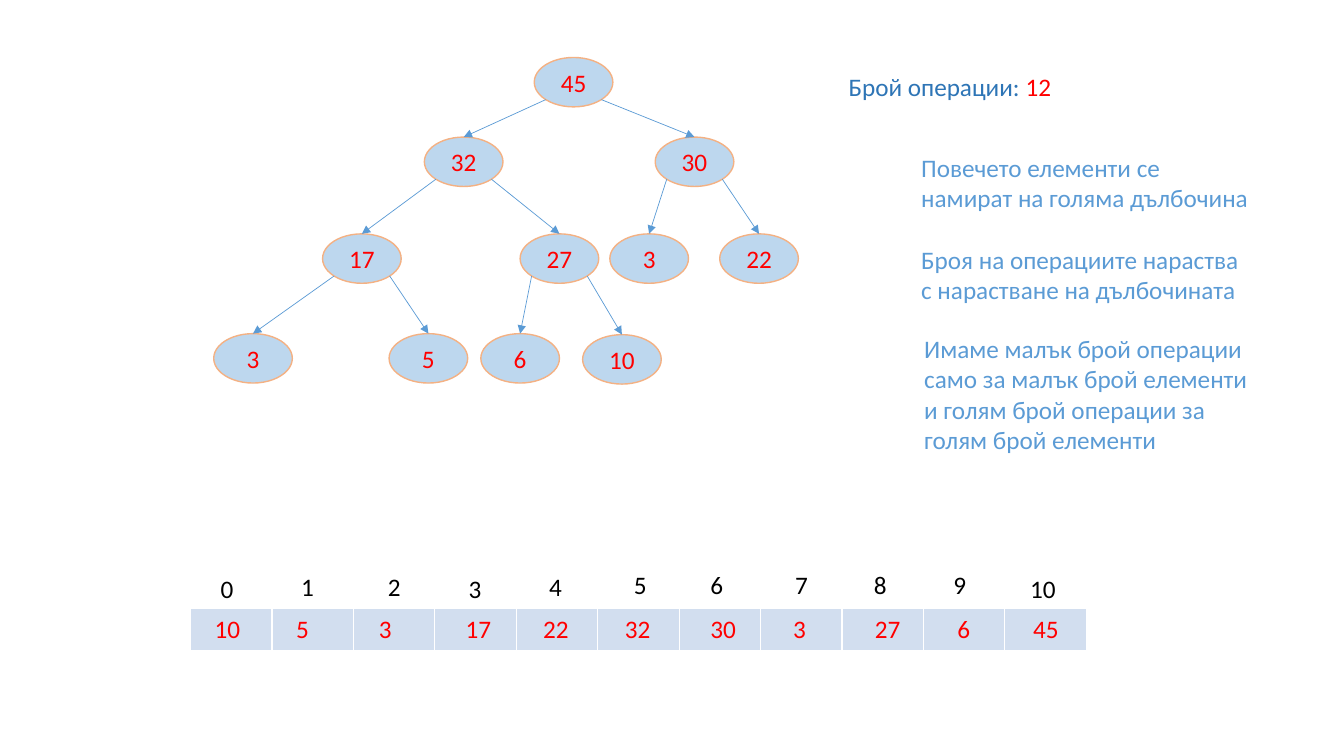
from lxml.etree import SubElement
from math import sqrt
from pptx import Presentation
from pptx.dml.color import RGBColor
from pptx.enum.shapes import MSO_CONNECTOR as Line, MSO_SHAPE as Preset
from pptx.enum.text import MSO_ANCHOR as Anchor, MSO_AUTO_SIZE as AutoSize, PP_ALIGN as Align
from pptx.oxml.ns import qn
from pptx.util import Inches, Pt

BLACK, RED = "000000", "FF0000"
BLUE, DARK_BLUE = "5B9BD5", "2E75B6"
NODE_FILL, NODE_LINE, CELL_FILL = "BDD7EE", "F4B183", "D2DEEF"


def color(hex_code):
    return RGBColor.from_string(hex_code)


def grid(*cells):
    """Turn columns or rows of the grid, ten to the inch, into lengths."""
    return [Inches(cell / 10) for cell in cells]


class HeapSlide:
    font_name, font_size = "Calibri", Pt(18)
    node_width, node_height = 7.8, 4.9

    def __init__(self, presentation):
        self.shapes = presentation.slides.add_slide(presentation.slide_layouts[6]).shapes

    def style(self, paragraph, hex_code):
        font = paragraph.font
        font.name, font.size = self.font_name, self.font_size
        font.color.rgb = color(hex_code)

    def text(self, column, row, width, height, *parts):
        """Add one paragraph of (wording, colour) parts."""
        box = self.shapes.add_textbox(*grid(column, row, width, height))
        frame = box.text_frame
        frame.word_wrap = True
        frame.auto_size = AutoSize.SHAPE_TO_FIT_TEXT
        paragraph = frame.paragraphs[0]
        self.style(paragraph, parts[0][1])
        for wording, hex_code in parts:
            run = paragraph.add_run()
            run.text = wording
            run.font.color.rgb = color(hex_code)

    def node(self, key, column, row):
        node = self.shapes.add_shape(
            Preset.OVAL, *grid(column, row, self.node_width, self.node_height))
        node.shadow.inherit = False
        node.fill.solid()
        node.fill.fore_color.rgb = color(NODE_FILL)
        node.line.color.rgb = color(NODE_LINE)
        node.line.width = Pt(1)
        frame = node.text_frame
        frame.vertical_anchor = Anchor.MIDDLE
        paragraph = frame.paragraphs[0]
        paragraph.text = str(key)
        paragraph.alignment = Align.CENTER
        self.style(paragraph, RED)
        return node

    def branch(self, parent, child, side):
        """Draw an arrow from the parent's lower left (-1) or right (1) to the child's top."""
        start_x = parent.left + parent.width * (1 + side / sqrt(2)) / 2
        start_y = parent.top + parent.height * (1 + 1 / sqrt(2)) / 2
        arrow = self.shapes.add_connector(
            Line.STRAIGHT, int(start_x), int(start_y),
            child.left + child.width // 2, child.top)
        ends = arrow.element.nvCxnSpPr.cNvCxnSpPr
        SubElement(ends, qn("a:stCxn"), id=str(parent.shape_id), idx=str(4 + side))
        arrow.end_connect(child, 0)
        arrow.line.color.rgb = color(BLUE)
        arrow.line.width = Pt(0.5)
        SubElement(arrow.line._get_or_add_ln(), qn("a:tailEnd"), type="triangle")
        SubElement(arrow.element.spPr, qn("a:effectLst"))

    def array(self, column, row, width, height, count):
        table = self.shapes.add_table(1, count, *grid(column, row, width, height)).table
        table.first_row = table.horz_banding = False
        for cell in table.iter_cells():
            cell.fill.solid()
            cell.fill.fore_color.rgb = color(CELL_FILL)


HEAP = [  # key, column, row, in level order
    (45, 53, 5.7),
    (32, 42.1, 13.6), (30, 65, 13.6),
    (17, 32, 23.2), (27, 51.6, 23.2), (3, 60.5, 23.2), (22, 71.4, 23.2),
    (3, 21.2, 33.1), (5, 38.6, 33.1), (6, 47.7, 33.1), (10, 57.8, 33.2),
]
ARRAY = [  # value, its column, column and row of its index
    (10, 20.3, 20.9, 56.4), (5, 28.4, 28.9, 56.2), (3, 36.6, 37.5, 56.2),
    (17, 45.2, 45.5, 56.4), (22, 52.9, 53.5, 56.2), (32, 61, 61.9, 56),
    (30, 69.5, 69.5, 56), (3, 77.7, 77.9, 56), (27, 85.8, 85.7, 56),
    (6, 94, 93.6, 56), (45, 101.5, 101.2, 56.4),
]
REMARKS = [  # column, row, width, height, wording
    (90.4, 14.6, 34.8, 7.1, "Повечето елементи се намират на голяма дълбочина"),
    (90.4, 23.7, 34.4, 7.1, "Броя на операциите нараства с нарастване на дълбочината"),
    (90.7, 32.6, 34.8, 16.2, "Имаме малък брой операции само за малък брой елементи "
                             "и голям брой операции за голям брой елементи"),
]


def main():
    presentation = Presentation()
    presentation.slide_width, presentation.slide_height = grid(133.33, 75)
    slide = HeapSlide(presentation)

    slide.array(18.9, 60.4, 88.9, 4.1, len(ARRAY))
    for index, (value, value_column, index_column, index_row) in enumerate(ARRAY):
        index_width = 1.3 + 1.7 * len(str(index))
        slide.text(index_column, index_row, index_width, 4, (str(index), BLACK))
        slide.text(value_column, 60.4, 4.7, 4, (str(value), RED))

    nodes = [slide.node(*entry) for entry in HEAP]
    for position, child in enumerate(nodes[1:], start=1):
        side = -1 if position % 2 else 1
        slide.branch(nodes[(position - 1) // 2], child, side)

    slide.text(83.2, 6.6, 39.7, 4, ("Брой операции: ", DARK_BLUE), ("12", RED))
    for *place, wording in REMARKS:
        slide.text(*place, (wording, BLUE))

    presentation.save("out.pptx")


if __name__ == "__main__":
    main()
